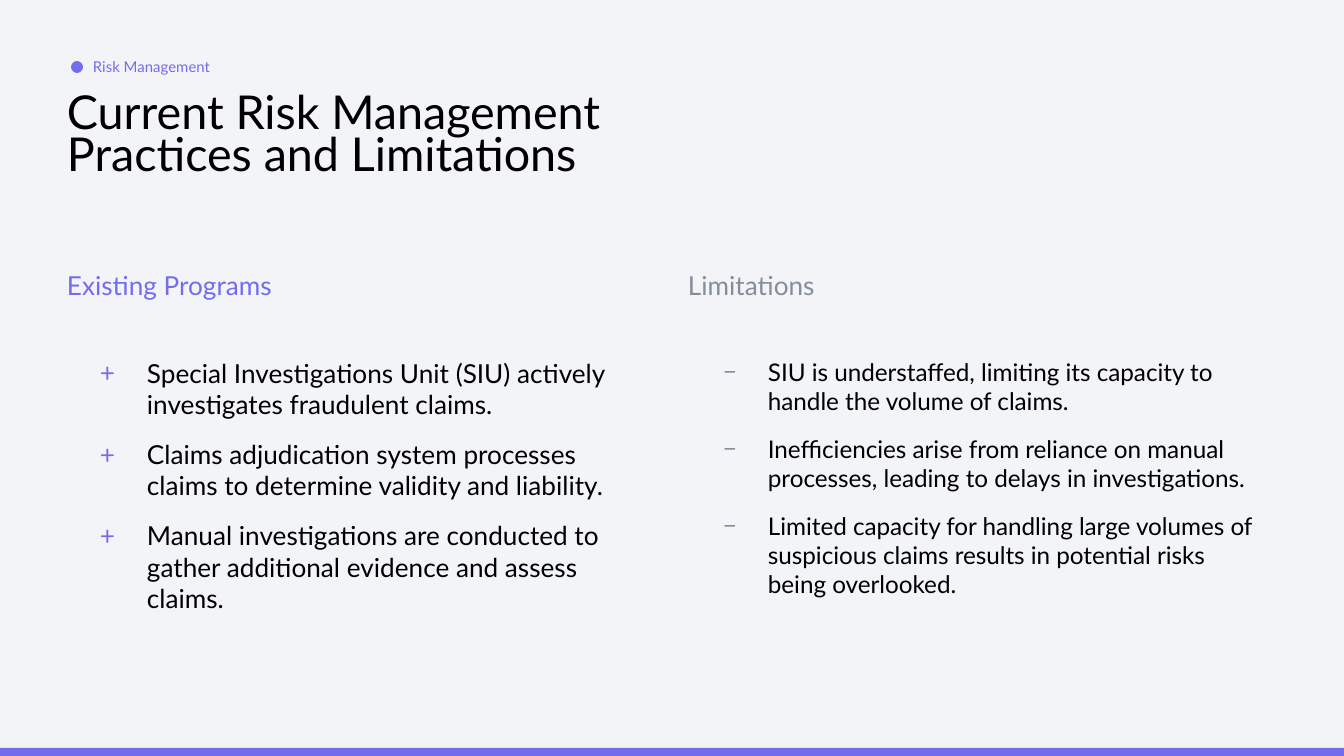
from lxml.etree import SubElement
from pptx import Presentation
from pptx.dml.color import RGBColor
from pptx.enum.shapes import MSO_SHAPE
from pptx.enum.text import MSO_ANCHOR
from pptx.oxml.ns import qn
from pptx.util import Emu, Pt

EMU_PER_PX = 914400 / 134.4
SLIDE_WIDTH, SLIDE_HEIGHT = 1344, 756
FONT = "Lato"
BLACK, PURPLE, GRAY, BACKGROUND = "000000", "736CED", "848E9B", "F3F4F7"
COLUMN_WIDTH = 587
COLUMNS = [
    (67, "Existing Programs", PURPLE, "+", 14, 47, [
        "Special Investigations Unit (SIU) actively investigates fraudulent claims.",
        "Claims adjudication system processes claims to determine validity and liability.",
        "Manual investigations are conducted to gather additional evidence and assess claims.",
    ]),
    (688, "Limitations", GRAY, "−", 13, 45, [
        "SIU is understaffed, limiting its capacity to handle the volume of claims.",
        "Inefficiencies arise from reliance on manual processes, leading to delays in investigations.",
        "Limited capacity for handling large volumes of suspicious claims results in potential risks being overlooked.",
    ]),
]


def px(length):
    return Emu(round(length * EMU_PER_PX))


def color(value):
    return RGBColor.from_string(value)


def add_bullet(paragraph, character, fill, hanging):
    properties = paragraph._p.get_or_add_pPr()
    properties.set("marL", str(px(67)))
    properties.set("indent", str(-px(hanging)))
    bullet_color = SubElement(properties, qn("a:buClr"))
    SubElement(bullet_color, qn("a:srgbClr"), val=fill)
    SubElement(properties, qn("a:buFont"), typeface=FONT)
    SubElement(properties, qn("a:buChar"), char=character)


def add_text(slide, box, *texts, size, fill=BLACK, inset=(0, 0),
             anchor=MSO_ANCHOR.TOP, line_spacing=None, bullet=None, gap=0):
    frame = slide.shapes.add_textbox(*map(px, box)).text_frame
    frame.word_wrap = True
    frame.vertical_anchor = anchor
    frame.margin_left = frame.margin_right = px(inset[0])
    frame.margin_top = frame.margin_bottom = px(inset[1])
    for index, text in enumerate(texts):
        paragraph = frame.add_paragraph() if index else frame.paragraphs[0]
        if bullet:
            add_bullet(paragraph, *bullet)
        if index:
            paragraph.space_before = Pt(gap)
        if line_spacing:
            paragraph.line_spacing = line_spacing
        run = paragraph.add_run()
        run.text = text
        run.font.name = FONT
        run.font.size = Pt(size)
        run.font.color.rgb = color(fill)


def add_solid(slide, preset, box, fill):
    shape = slide.shapes.add_shape(preset, *map(px, box))
    shape.shadow.inherit = False
    shape.fill.solid()
    shape.fill.fore_color.rgb = color(fill)
    shape.line.fill.background()


def add_column(slide, left, heading, accent, marker, size, hanging, items):
    add_text(slide, (left, 269, COLUMN_WIDTH, 74), heading, size=14, fill=accent)
    add_text(slide, (left, 344, COLUMN_WIDTH, 394), *items, size=size,
             inset=(13, 13), bullet=(marker, accent, hanging), gap=10)


def main():
    presentation = Presentation()
    presentation.slide_width = px(SLIDE_WIDTH)
    presentation.slide_height = px(SLIDE_HEIGHT)
    slide = presentation.slides.add_slide(presentation.slide_layouts[6])
    slide.background.fill.solid()
    slide.background.fill.fore_color.rgb = color(BACKGROUND)

    add_text(slide, (67, 83, 675, 164),
             "Current Risk Management Practices and Limitations",
             size=25, inset=(0, 13), line_spacing=0.75)
    for column in COLUMNS:
        add_column(slide, *column)
    add_solid(slide, MSO_SHAPE.RECTANGLE, (0, 748, SLIDE_WIDTH, 8), PURPLE)
    add_solid(slide, MSO_SHAPE.OVAL, (71, 61, 12, 12), PURPLE)
    add_text(slide, (93, 43, 363, 47), "Risk Management",
             size=8, fill=PURPLE, anchor=MSO_ANCHOR.MIDDLE)

    presentation.save("out.pptx")


if __name__ == "__main__":
    main()
